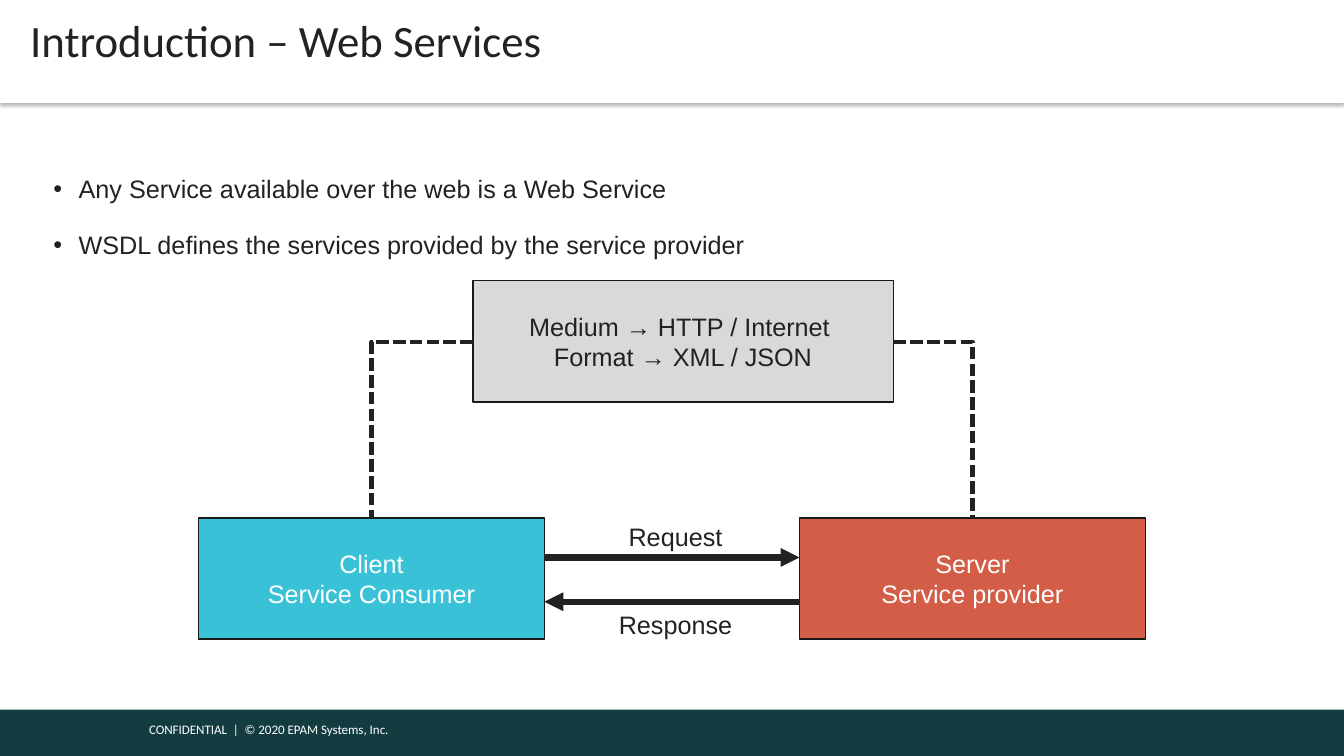
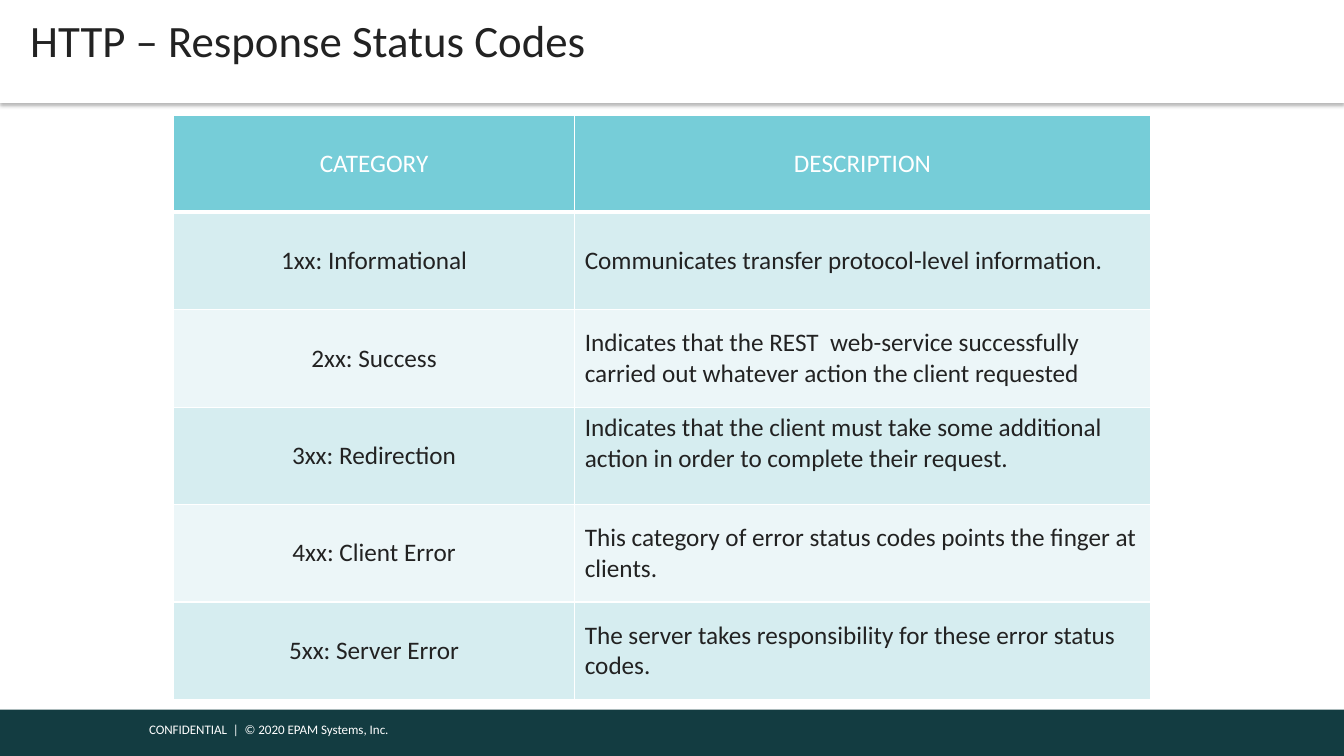
from dataclasses import dataclass

from lxml.etree import SubElement as Sub
from pptx import Presentation
from pptx.dml.color import RGBColor
from pptx.enum.shapes import MSO_CONNECTOR as Link, MSO_SHAPE as Form
from pptx.enum.text import MSO_ANCHOR as Anchor, MSO_AUTO_SIZE as Fit, PP_ALIGN as Align
from pptx.oxml.ns import qn
from pptx.util import Inches, Pt


@dataclass(frozen=True)
class Theme:
    white: str = "FFFFFF"
    ink: str = "222222"
    edge: str = "191919"
    band: str = "133C41"
    client: str = "39C2D7"
    server: str = "D35D47"
    medium: str = "D9D9D9"
    head: str = "76CDD8"
    rows: tuple = ("D6EDF0", "ECF6F8")
    sans: str = "Arial"
    deck: str = "Calibri"
    title: float = 32
    body: float = 18
    small: float = 9.3


T = Theme()
WIDE, HIGH = 13.33, 7.5

CODES = [
    ("CATEGORY", "DESCRIPTION"),
    ("1xx: Informational", "Communicates transfer protocol-level information."),
    ("2xx: Success", "Indicates that the REST  web-service successfully "
                     "carried out whatever action the client requested"),
    ("3xx: Redirection", "Indicates that the client must take some additional "
                         "action in order to complete their request."),
    ("4xx: Client Error", "This category of error status codes points the finger at clients."),
    ("5xx: Server Error", "The server takes responsibility for these error status codes."),
]
TOP_ROW = 3  # its description sits at the top of the cell


def rgb(code):
    return RGBColor.from_string(code)


def paint(item, code):
    item.fill.solid()
    item.fill.fore_color.rgb = rgb(code)


def place(shape, left, top, width, height):
    shape.left, shape.top = Inches(left), Inches(top)
    shape.width, shape.height = Inches(width), Inches(height)


def inset(frame, left=0, top=0, right=0, bottom=0):
    frame.margin_left, frame.margin_top = Inches(left), Inches(top)
    frame.margin_right, frame.margin_bottom = Inches(right), Inches(bottom)


def write(frame, text, size=T.body, face=T.sans, color=T.ink, align=Align.LEFT,
          lead=None, before=0, after=0, bullet=False):
    """Put each line of text in its own paragraph."""
    for i, line in enumerate(text.split("\n")):
        para = frame.add_paragraph() if i else frame.paragraphs[0]
        para.alignment = align
        para.line_spacing = lead
        para.space_before = Pt(before if i else 0)
        para.space_after = Pt(after)
        if bullet:
            props = para._p.get_or_add_pPr()
            props.set("marL", str(Inches(0.25)))
            props.set("indent", str(-Inches(0.25)))
            Sub(props, qn("a:buFont"), typeface=T.sans)
            Sub(props, qn("a:buChar"), char="•")
        run = para.add_run()
        run.text = line
        run.font.size, run.font.name = Pt(size), face
        run.font.color.rgb = rgb(color)


def add_box(slide, at, fill, text="", color=T.white, edge=None):
    box = slide.shapes.add_shape(Form.RECTANGLE, *map(Inches, at))
    box.shadow.inherit = False
    paint(box, fill)
    if edge:
        box.line.color.rgb = rgb(edge)
        box.line.width = Pt(1)
    else:
        box.line.fill.background()
    if text:
        box.text_frame.vertical_anchor = Anchor.MIDDLE
        write(box.text_frame, text, color=color, align=Align.CENTER)
    return box


def add_label(slide, at, text, wrap=True, **style):
    label = slide.shapes.add_textbox(*map(Inches, at))
    label.text_frame.word_wrap = wrap
    write(label.text_frame, text, **style)
    return label


def add_line(slide, kind, start, end, width):
    line = slide.shapes.add_connector(kind, *map(Inches, (*start, *end)))
    line.line.color.rgb = rgb(T.ink)
    line.line.width = Pt(width)
    Sub(line.element.spPr, qn("a:effectLst"))
    return line


def add_arrow(slide, start, end):
    line = add_line(slide, Link.STRAIGHT, start, end, 4.5)
    Sub(line.line._get_or_add_ln(), qn("a:tailEnd"), type="triangle")


def add_elbow(slide, start, end):
    """Dashed line that runs across, then down."""
    line = add_line(slide, Link.ELBOW, start, end, 3)
    line.element.spPr.find(qn("a:prstGeom")).set("prst", "bentConnector2")
    Sub(line.line._get_or_add_ln(), qn("a:prstDash"), val="sysDash")


def add_footer(deck, slide):
    """Draw the footer, then move it to the master for all slides."""
    band = add_box(slide, (0, 7.04, WIDE, 0.46), T.band)
    note = add_label(slide, (1.38, 7.11, 3.53, 0.26),
                     "CONFIDENTIAL  |  © 2020 EPAM Systems, Inc.",
                     size=T.small, face=T.deck, color=T.white)
    for i, part in enumerate((band, note)):
        part.element.xpath(".//p:cNvPr")[0].set("id", str(100 + i))
        deck.slide_master.shapes.element.insert(2 + i, part.element)


def set_title(slide, text):
    title = slide.shapes.title
    place(title, 0, 0, WIDE, 1.02)
    paint(title, T.white)
    cast = Sub(Sub(title.element.spPr, qn("a:effectLst")), qn("a:outerShdw"),
               blurRad=str(Pt(3.1)), dist=str(Pt(2)), dir="5400000",
               algn="t", rotWithShape="0")
    Sub(Sub(cast, qn("a:srgbClr"), val="000000"), qn("a:alpha"), val="30000")
    frame = title.text_frame
    frame.auto_size, frame.vertical_anchor = Fit.NONE, Anchor.MIDDLE
    inset(frame, 0.3, 0.04, 0.07, 0.04)
    write(frame, text, size=T.title, face=T.deck, lead=Pt(21.3), after=4)


def set_list(slide, text):
    body = slide.placeholders[1]
    place(body, 0.53, 1.57, 10.96, 1.38)
    body.text_frame.auto_size = Fit.NONE
    body.text_frame.vertical_anchor = Anchor.TOP
    inset(body.text_frame)
    write(body.text_frame, text, lead=1.5, before=3.5, after=4, bullet=True)


def set_edges(cell, base):
    props = cell._tc.get_or_add_tcPr()
    for side in "LRTB":
        edge = Sub(props, qn("a:ln" + side), w=str(Pt(base if side == "B" else 1)))
        Sub(Sub(edge, qn("a:solidFill")), qn("a:srgbClr"), val=T.white)


def add_codes(slide):
    grid = slide.shapes.add_table(len(CODES), 2, *map(Inches, (1.72, 1.14, 9.69, 5.8))).table
    for col, width in zip(grid.columns, (3.98, 5.71)):
        col.width = Inches(width)
    for r, row in enumerate(CODES):
        for c, text in enumerate(row):
            cell = grid.cell(r, c)
            set_edges(cell, 1 if r else 3)
            paint(cell, T.rows[(r - 1) % 2] if r else T.head)
            high = (r, c) == (TOP_ROW, 1)
            cell.vertical_anchor = Anchor.TOP if high else Anchor.MIDDLE
            write(cell.text_frame, text, face=T.deck,
                  color=T.ink if r else T.white,
                  align=Align.LEFT if r and c else Align.CENTER)


def add_flow(slide):
    """Client and server, joined by calls and by the medium above."""
    left, right, top, wide, tall = 1.97, 7.93, 5.14, 3.43, 1.2
    near = left + wide
    add_box(slide, (left, top, wide, tall), T.client,
            "Client\nService Consumer", edge=T.edge)
    add_box(slide, (right, top, wide, tall), T.server,
            "Server\nService provider", edge=T.edge)
    add_arrow(slide, (near, 5.53), (right, 5.53))
    add_arrow(slide, (right, 5.97), (near, 5.97))
    for text, y in (("Request", 5.12), ("Response", 6)):
        add_label(slide, (6, y, 1.4, 0.4), text, wrap=False, align=Align.CENTER)
    add_box(slide, (4.69, 2.78, 4.17, 1.21), T.medium,
            "Medium → HTTP / Internet \nFormat → XML / JSON", color=T.ink, edge=T.edge)
    for side, box in ((4.69, left), (8.86, right)):
        add_elbow(slide, (side, 3.39), (box + wide / 2, top))


def main():
    deck = Presentation()
    deck.slide_width, deck.slide_height = Inches(WIDE), Inches(HIGH)
    intro = deck.slides.add_slide(deck.slide_layouts[1])
    add_footer(deck, intro)
    set_title(intro, "Introduction – Web Services")
    set_list(intro, "Any Service available over the web is a Web Service\n"
                    "WSDL defines the services provided by the service provider")
    add_flow(intro)

    status = deck.slides.add_slide(deck.slide_layouts[5])
    set_title(status, "HTTP – Response Status Codes")
    add_codes(status)
    deck.save("out.pptx")


if __name__ == "__main__":
    main()
